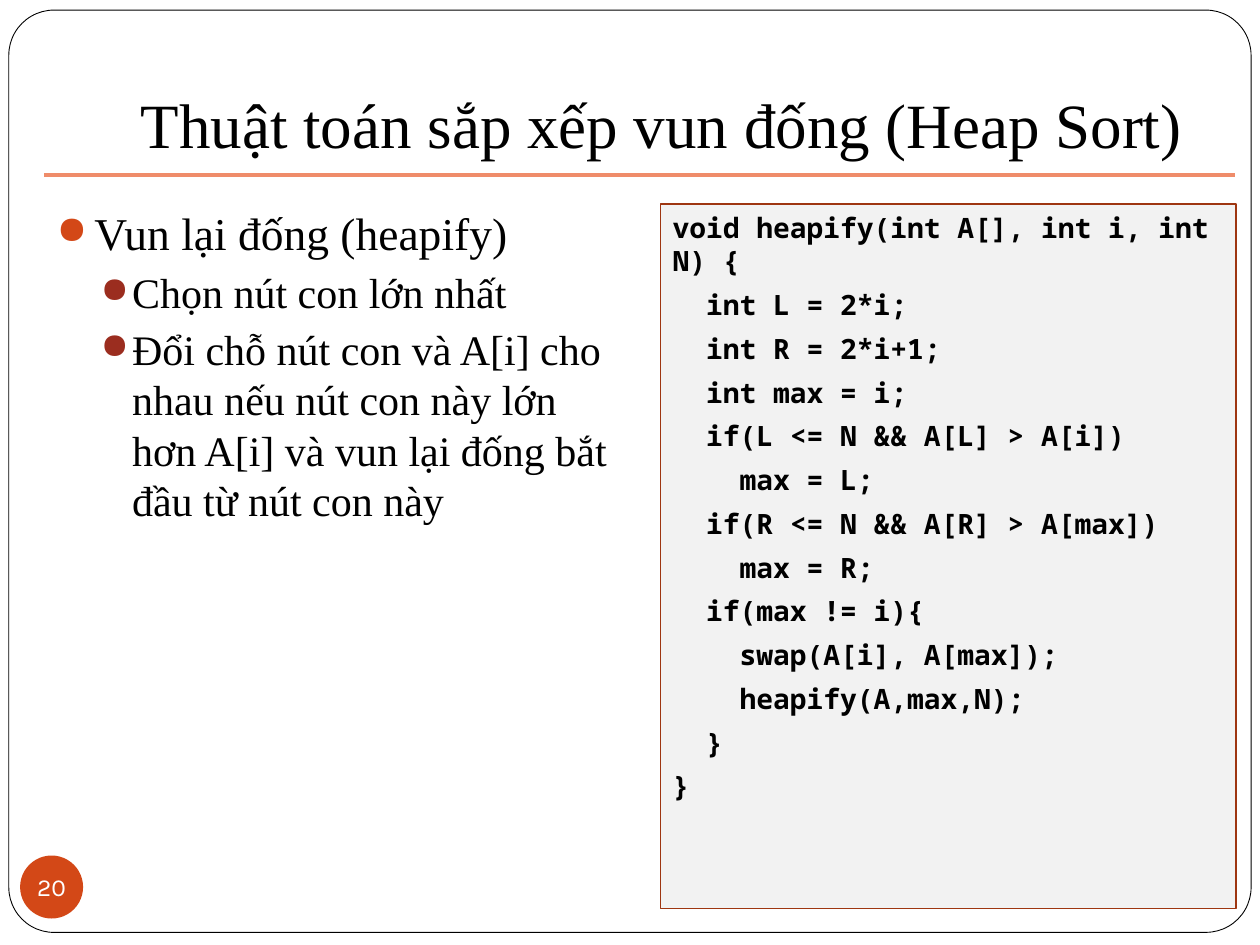
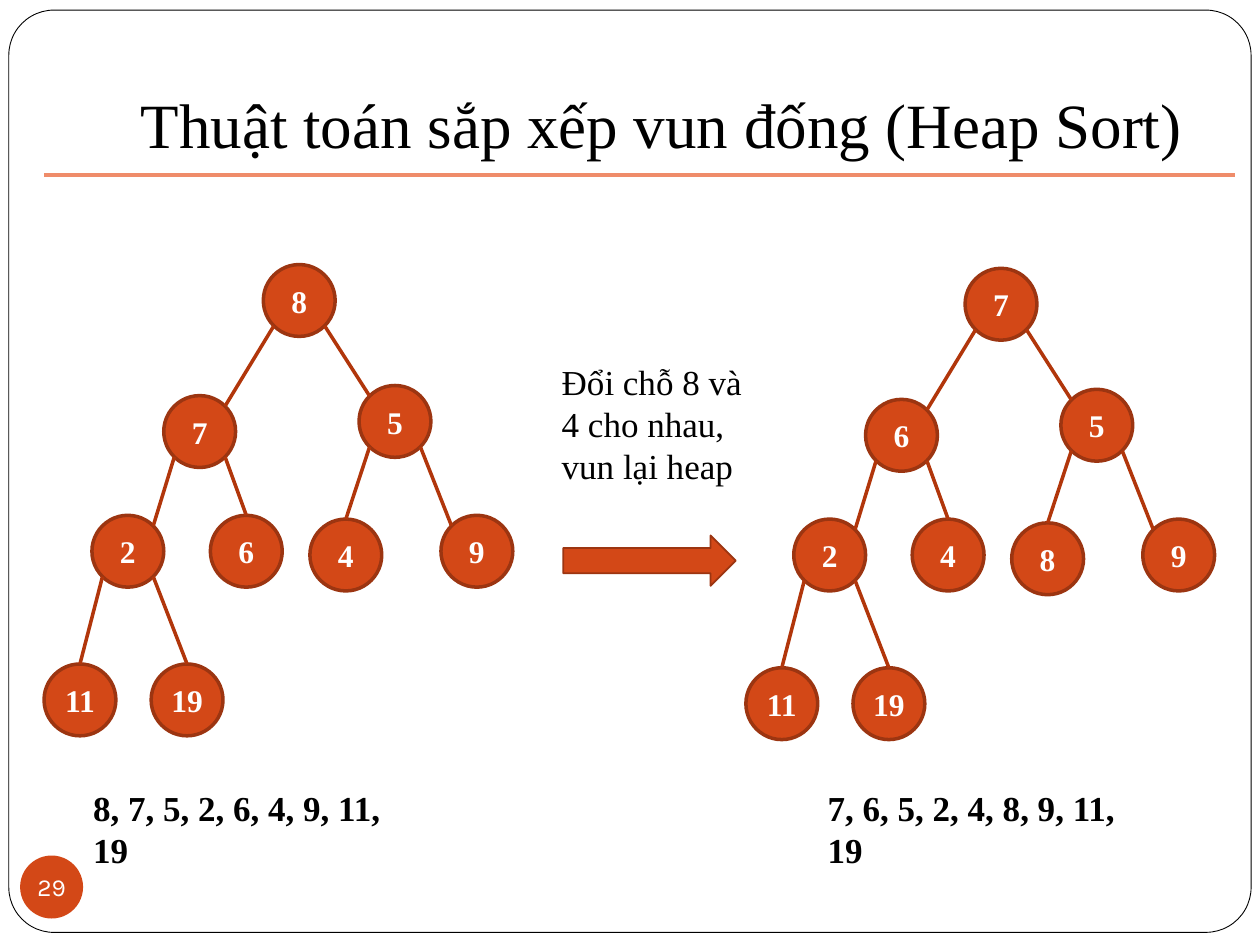
from lxml import etree
from pptx import Presentation
from pptx.dml.color import RGBColor
from pptx.enum.shapes import MSO_CONNECTOR, MSO_SHAPE
from pptx.enum.text import MSO_ANCHOR, MSO_AUTO_SIZE, PP_ALIGN
from pptx.oxml.ns import qn
from pptx.util import Inches, Pt

ROUND, OVAL = MSO_SHAPE.ROUNDED_RECTANGLE, MSO_SHAPE.OVAL
RECT, ARROW = MSO_SHAPE.RECTANGLE, MSO_SHAPE.RIGHT_ARROW
NODE, LINE = MSO_SHAPE.FLOWCHART_CONNECTOR, MSO_CONNECTOR.STRAIGHT
TOP, MID, LOW = MSO_ANCHOR.TOP, MSO_ANCHOR.MIDDLE, MSO_ANCHOR.BOTTOM
LEFT, MIDST = PP_ALIGN.LEFT, PP_ALIGN.CENTER
GROW = MSO_AUTO_SIZE.SHAPE_TO_FIT_TEXT

COLORS = {
    "white": "FFFFFF", "black": "000000", "orange": "D34817",
    "rule": "EF8C6A", "rust": "9C3511", "edge": "B1360B",
    "brick": "9B2D1F", "frame": "9E3611", "grey": "F2F2F2",
}
SERIF, MONO, SANS = "Times New Roman", "Noto Sans Mono", "Karla"
PAD = (0.1, 0.05, 0.1, 0.05)
SIDES = ("margin_left", "margin_top", "margin_right", "margin_bottom")

TITLE = "Thuật toán sắp xếp vun đống (Heap Sort)"
POINTS = [
    (0, "Vun lại đống (heapify)"),
    (1, "Chọn nút con lớn nhất"),
    (1, "Đổi chỗ nút con và A[i] cho nhau nếu nút con này lớn hơn A[i] "
        "và vun lại đống bắt đầu từ nút con này"),
]
# Per level: text size, space before, left indent, hanging indent, bullet colour
LEVELS = [(26, 5.8, 0.3, 0.3, "orange"), (24, 3.7, 0.6, 0.25, "brick")]
CODE = """\
void heapify(int A[], int i, int N) {
  int L = 2*i;
  int R = 2*i+1;
  int max = i;
  if(L <= N && A[L] > A[i])
    max = L;
  if(R <= N && A[R] > A[max])
    max = R;
  if(max != i){
    swap(A[i], A[max]);
    heapify(A,max,N);
  }
}"""

# Tree nodes in heap order: offset from the tree corner, and where along
# the node (-1 left, 0 middle, 1 right) the edge from its parent lands
SPOTS = [
    (1.74, 0, 0), (0.95, 1.04, 1), (2.5, 0.96, -1),
    (0.38, 1.99, 1), (1.32, 1.99, 0), (2.11, 2.02, 0), (3.15, 1.99, -1),
    (0, 3.17, 0), (0.85, 3.17, 0),
]
SIZE = 0.57
TREES = [
    (0.35, 2.1, 0.64, [8, 7, 5, 2, 6, 4, 9, 11, 19]),
    (5.92, 2.13, 6.47, [7, 6, 5, 2, 4, 8, 9, 11, 19]),
]


def color(name):
    return RGBColor.from_string(COLORS[name])


def apply(target, values):
    for name, value in values.items():
        setattr(target, name, value)


def rim(spot, side, down):
    """Point on a node's circle: its top middle, or a diagonal corner."""
    half = SIZE / 2
    reach = half * 0.5 ** 0.5 if side else half
    return spot[0] + half + side * reach, spot[1] + half + down * reach


class Deck:
    def __init__(self):
        self.prs = Presentation()
        self.prs.slide_width, self.prs.slide_height = Inches(10), Inches(7.5)
        self.slide = None

    def page(self, number):
        """Start a slide with the shared frame, title, rule and number."""
        self.slide = self.prs.slides.add_slide(self.prs.slide_layouts[6])
        frame = self.shape(ROUND, (0.07, 0.08, 9.86, 7.32), "white", "black", 0.5)
        frame.adjustments[0] = 0.049
        self.text((1, 0.13, 8.5, 1.25), TITLE, 36, align=MIDST, anchor=LOW,
                  pad=(0.1, 0.05, 0.1, 0.1))
        self.line((0.35, 1.39), (9.8, 1.39), "rule")
        badge = self.shape(OVAL, (0.16, 6.79, 0.5, 0.5), "orange")
        self.label(badge, [number], 14, SANS, "white", align=MIDST, anchor=MID,
                   pad=(0,) * 4, wrap=False)

    def shape(self, kind, box, fill, line=None, width=1):
        item = self.slide.shapes.add_shape(kind, *map(Inches, box))
        item.shadow.inherit = False
        item.fill.solid()
        item.fill.fore_color.rgb = color(fill)
        if line:
            item.line.color.rgb = color(line)
            item.line.width = Pt(width)
        else:
            item.line.fill.background()
        return item

    def line(self, start, end, tint):
        ends = map(Inches, (*start, *end))
        item = self.slide.shapes.add_connector(LINE, *ends)
        item.line.color.rgb = color(tint)
        item.line.width = Pt(2)
        etree.SubElement(item._element.spPr, qn("a:effectLst"))

    def label(self, item, lines, size, font=SERIF, tint="black", bold=False,
              align=LEFT, anchor=TOP, pad=PAD, wrap=True, gap=0):
        """Fill a shape or text box with one paragraph per line."""
        frame = item.text_frame
        apply(frame, {"word_wrap": wrap, "vertical_anchor": anchor})
        apply(frame, dict(zip(SIDES, map(Inches, pad))))
        for i, words in enumerate(lines):
            para = frame.paragraphs[0] if i == 0 else frame.add_paragraph()
            para.alignment = align
            if i:
                para.space_before = Pt(gap)
            run = para.add_run()
            run.text = str(words)
            apply(run.font, {"size": Pt(size), "name": font, "bold": bold})
            run.font.color.rgb = color(tint)

    def text(self, box, words, size, grow=False, **style):
        item = self.slide.shapes.add_textbox(*map(Inches, box))
        self.label(item, [words], size, **style)
        if grow:
            item.text_frame.auto_size = GROW

    def points(self, box, items):
        item = self.slide.shapes.add_textbox(*map(Inches, box))
        self.label(item, [words for _, words in items], 24)
        for i, para in enumerate(item.text_frame.paragraphs):
            level = items[i][0]
            size, gap, left, hang, tint = LEVELS[level]
            self.bullet(para, left, hang, tint)
            para.level = level
            para.runs[0].font.size = Pt(size)
            if i:
                para.space_before = Pt(gap)

    def bullet(self, para, left, hang, tint):
        props = para._p.get_or_add_pPr()
        props.set("marL", str(Inches(left)))
        props.set("indent", str(-Inches(hang)))
        hue = etree.SubElement(props, qn("a:buClr"))
        etree.SubElement(hue, qn("a:srgbClr"), val=COLORS[tint])
        etree.SubElement(props, qn("a:buSzPct"), val="85000")
        etree.SubElement(props, qn("a:buChar"), char="●")

    def tree(self, left, top, keys):
        spots = [(left + x, top + y) for x, y, _ in SPOTS]
        for spot, key in zip(spots, keys):
            node = self.shape(NODE, (*spot, SIZE, SIZE), "orange", "rust", 2)
            self.label(node, [key], 18, tint="white", bold=True, align=MIDST,
                       anchor=MID, pad=(0,) * 4)
        for i in range(1, len(spots)):
            side = -1 if i % 2 else 1
            start = rim(spots[(i - 1) // 2], side, 1)
            self.line(start, rim(spots[i], SPOTS[i][2], -1), "edge")


def main():
    deck = Deck()

    deck.page(20)
    deck.points((0.35, 1.58, 4.72, 5.47), POINTS)
    panel = deck.shape(RECT, (5.24, 1.62, 4.57, 5.59), "grey", "frame", 0.75)
    deck.label(panel, CODE.splitlines(), 16, MONO, bold=True, gap=5.8)

    deck.page(29)
    deck.shape(ARROW, (4.47, 4.25, 1.37, 0.4), "orange", "rust")
    deck.text((4.36, 2.81, 1.76, 1.11), "Đổi chỗ 8 và 4 cho nhau, vun lại heap",
              20, grow=True)
    for left, top, start, keys in TREES:
        deck.tree(left, top, keys)
        deck.text((start, 6.19, 2.78, 0.44), ", ".join(map(str, keys)), 20,
                  grow=True, bold=True)

    deck.prs.save("out.pptx")


if __name__ == "__main__":
    main()
